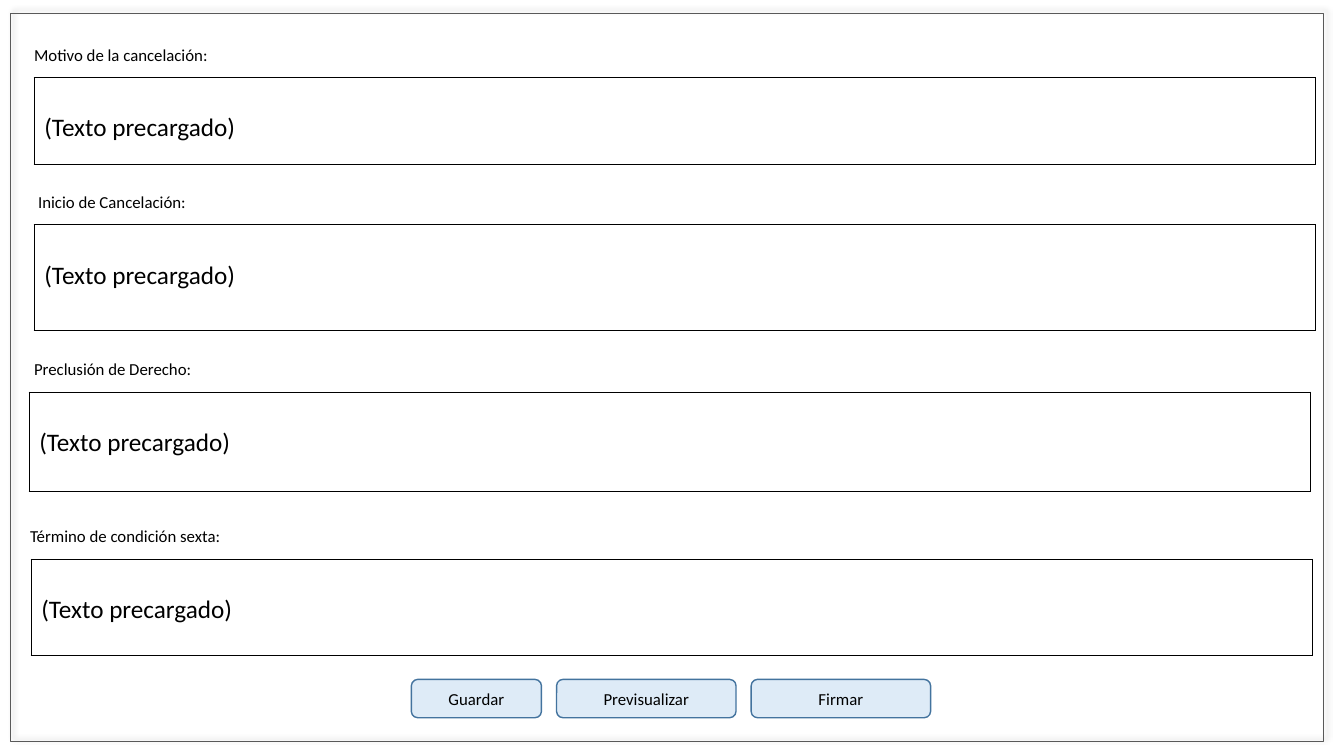
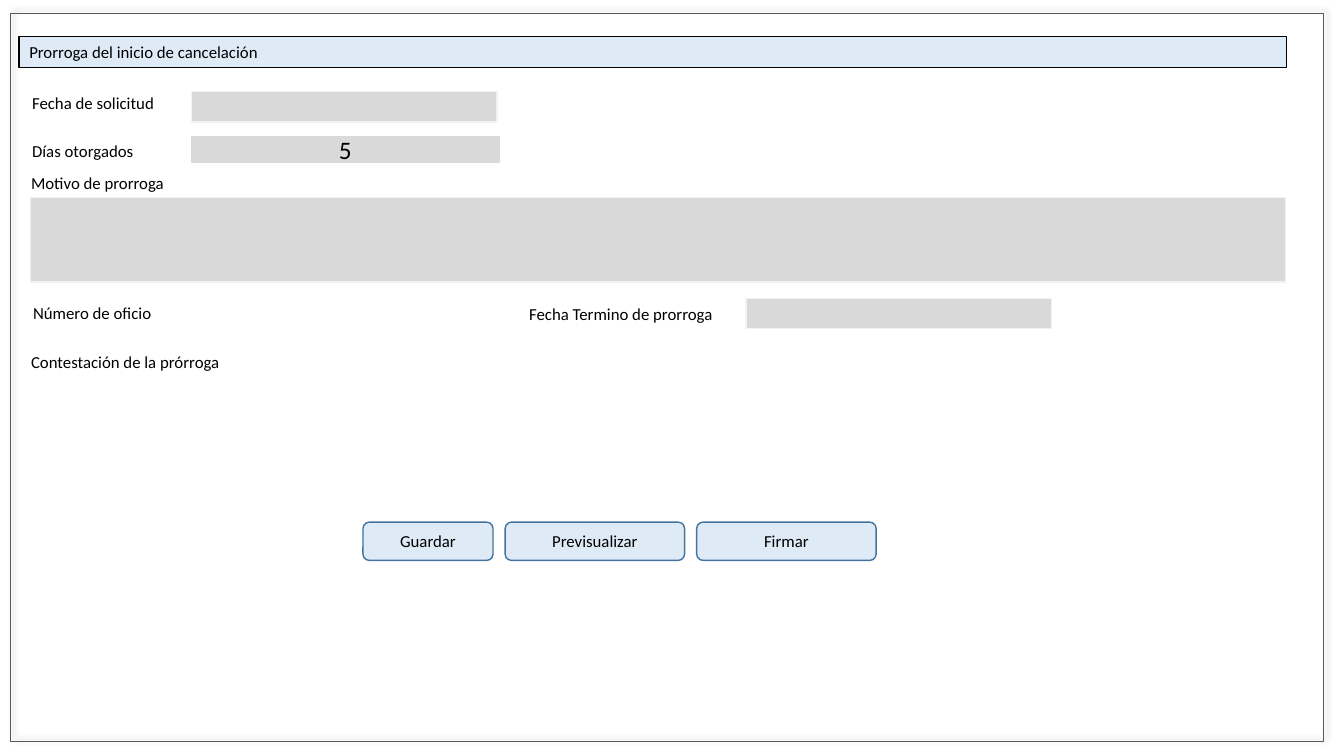
from dataclasses import dataclass

from lxml.etree import SubElement
from pptx import Presentation
from pptx.dml.color import RGBColor
from pptx.enum.shapes import MSO_SHAPE
from pptx.enum.text import MSO_ANCHOR, MSO_AUTO_SIZE, PP_ALIGN
from pptx.oxml.ns import qn
from pptx.util import Inches, Pt


@dataclass(frozen=True)
class Theme:
    font: str = "Calibri"
    label_size: int = 12
    value_size: int = 18
    line_width: float = 1
    frame_width: float = 0.5
    ink: str = "000000"
    frame: str = "595959"
    pale_blue: str = "DEEBF7"
    button_edge: str = "43739E"
    field: str = "D9D9D9"
    field_edge: str = "F2F2F2"


@dataclass(frozen=True)
class Box:
    left: float
    top: float
    width: float
    height: float

    def inside(self, left, top, width, height):
        return Box(self.left + left, self.top + top, width, height)

    def lengths(self):
        return [Inches(value) for value in (self.left, self.top, self.width, self.height)]


THEME = Theme()
FRAME = Box(0.1, 0.13, 13.03, 7.23)
BUTTONS = [("Guardar", 1.29), ("Previsualizar", 1.78), ("Firmar", 1.78)]
PRELOADED = "(Texto precargado)"


def colour(value):
    return RGBColor.from_string(value)


def write(text_frame, text, size, align=PP_ALIGN.LEFT):
    para = text_frame.paragraphs[0]
    para.alignment = align
    span = para.add_run()
    span.text = text
    span.font.name = THEME.font
    span.font.size = Pt(size)
    span.font.bold = False
    span.font.color.rgb = colour(THEME.ink)


def paint(shape, fill, line, width=THEME.line_width):
    if fill:
        shape.fill.solid()
        shape.fill.fore_color.rgb = colour(fill)
    else:
        shape.fill.background()
    shape.line.color.rgb = colour(line)
    shape.line.width = Pt(width)


def add_block(page, box, fill, line, text="", size=THEME.label_size, kind=MSO_SHAPE.RECTANGLE):
    shape = page.shapes.add_shape(kind, *box.lengths())
    shape.shadow.inherit = False
    paint(shape, fill, line)
    if text:
        shape.text_frame.vertical_anchor = MSO_ANCHOR.MIDDLE
        write(shape.text_frame, text, size, PP_ALIGN.CENTER)
    return shape


def add_frame(page, box):
    shape = add_block(page, box, None, THEME.frame)
    shape.line.width = Pt(THEME.frame_width)
    effects = shape._element.spPr.find(qn("a:effectLst"))
    shadow = SubElement(effects, qn("a:outerShdw"), blurRad=str(Pt(4)),
                        dist=str(Pt(3)), dir=str(315 * 60000), algn="bl", rotWithShape="0")
    tint = SubElement(shadow, qn("a:srgbClr"), val=THEME.ink)
    SubElement(tint, qn("a:alpha"), val="40000")


def add_label(page, box, text):
    label = page.shapes.add_textbox(*box.lengths())
    label.text_frame.word_wrap = True
    label.text_frame.auto_size = MSO_AUTO_SIZE.SHAPE_TO_FIT_TEXT
    write(label.text_frame, text, THEME.label_size)


def add_buttons(page, box, gap):
    left = 0
    for text, width in BUTTONS:
        add_block(page, box.inside(left, 0, width, box.height), THEME.pale_blue,
                  THEME.button_edge, text, kind=MSO_SHAPE.ROUNDED_RECTANGLE)
        left += width + gap


def add_cell_borders(cell):
    properties = cell._tc.get_or_add_tcPr()
    for position, side in enumerate(("a:lnL", "a:lnR", "a:lnT", "a:lnB")):
        border = SubElement(properties, qn(side), w=str(Pt(THEME.line_width)))
        fill = SubElement(border, qn("a:solidFill"))
        SubElement(fill, qn("a:srgbClr"), val=THEME.ink)
        properties.insert(position, border)


def add_preloaded_field(page, box, label_left, label):
    add_label(page, Box(label_left, box.top - 0.38, 4, 0.3), label)
    table = page.shapes.add_table(1, 1, *box.lengths()).table
    table.first_row = False
    table.horz_banding = False
    cell = table.cell(0, 0)
    cell.fill.background()
    cell.margin_top = Inches(0.35)
    write(cell.text_frame, PRELOADED, THEME.value_size)
    add_cell_borders(cell)


def add_title_band(page, box):
    title = page.shapes.title
    title.left, title.top, title.width, title.height = box.lengths()
    paint(title, THEME.pale_blue, THEME.ink)
    title.text_frame.vertical_anchor = MSO_ANCHOR.MIDDLE
    write(title.text_frame, "Prorroga del inicio de cancelación", THEME.label_size)


def build_cancellation(deck):
    page = deck.slides.add_slide(deck.slide_layouts[6])
    add_frame(page, FRAME)
    fields = [
        ("Motivo de la cancelación:", 0.24, 0.34, 0.77, 0.86),
        ("Inicio de Cancelación:", 0.28, 0.34, 2.23, 1.05),
        ("Preclusión de Derecho:", 0.24, 0.29, 3.89, 0.99),
        ("Término de condición sexta:", 0.2, 0.31, 5.55, 0.95),
    ]
    for label, label_left, left, top, height in fields:
        add_preloaded_field(page, Box(left, top, 12.71, height), label_left, label)
    add_buttons(page, Box(4.08, 6.74, 5.15, 0.38), gap=0.15)


def build_extension(deck):
    page = deck.slides.add_slide(deck.slide_layouts[5])
    add_frame(page, FRAME)
    add_title_band(page, Box(0.19, 0.36, 12.57, 0.31))
    labels = [
        ("Fecha de solicitud", 0.22, 0.87),
        ("Días otorgados", 0.22, 1.35),
        ("Motivo de prorroga", 0.21, 1.66),
        ("Número de oficio", 0.23, 2.95),
        ("Fecha Termino de prorroga", 5.15, 2.96),
        ("Contestación de la prórroga", 0.21, 3.44),
    ]
    for text, left, top in labels:
        add_label(page, Box(left, top, 3.37, 0.3), text)
    entries = [Box(1.9, 0.91, 3.03, 0.3), Box(0.3, 1.96, 12.45, 0.84), Box(7.4, 2.96, 3.03, 0.3)]
    for entry in entries:
        add_block(page, entry, THEME.field, THEME.field_edge)
    add_block(page, Box(1.9, 1.36, 3.05, 0.25), THEME.field, THEME.field,
              "5", THEME.value_size)
    add_buttons(page, Box(3.6, 5.18, 5.08, 0.38), gap=0.12)


def main():
    deck = Presentation()
    deck.slide_width = Inches(13.33)
    deck.slide_height = Inches(7.5)
    build_cancellation(deck)
    build_extension(deck)
    deck.save("out.pptx")


if __name__ == "__main__":
    main()
